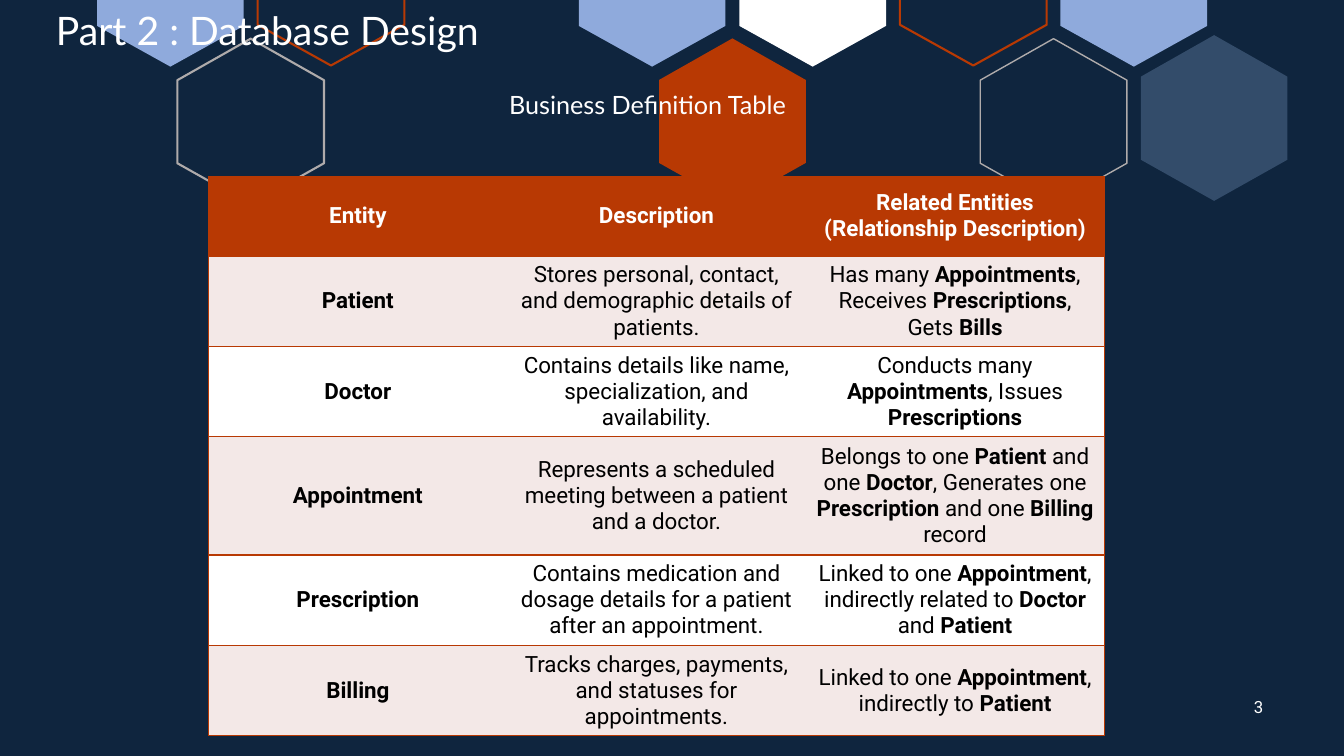
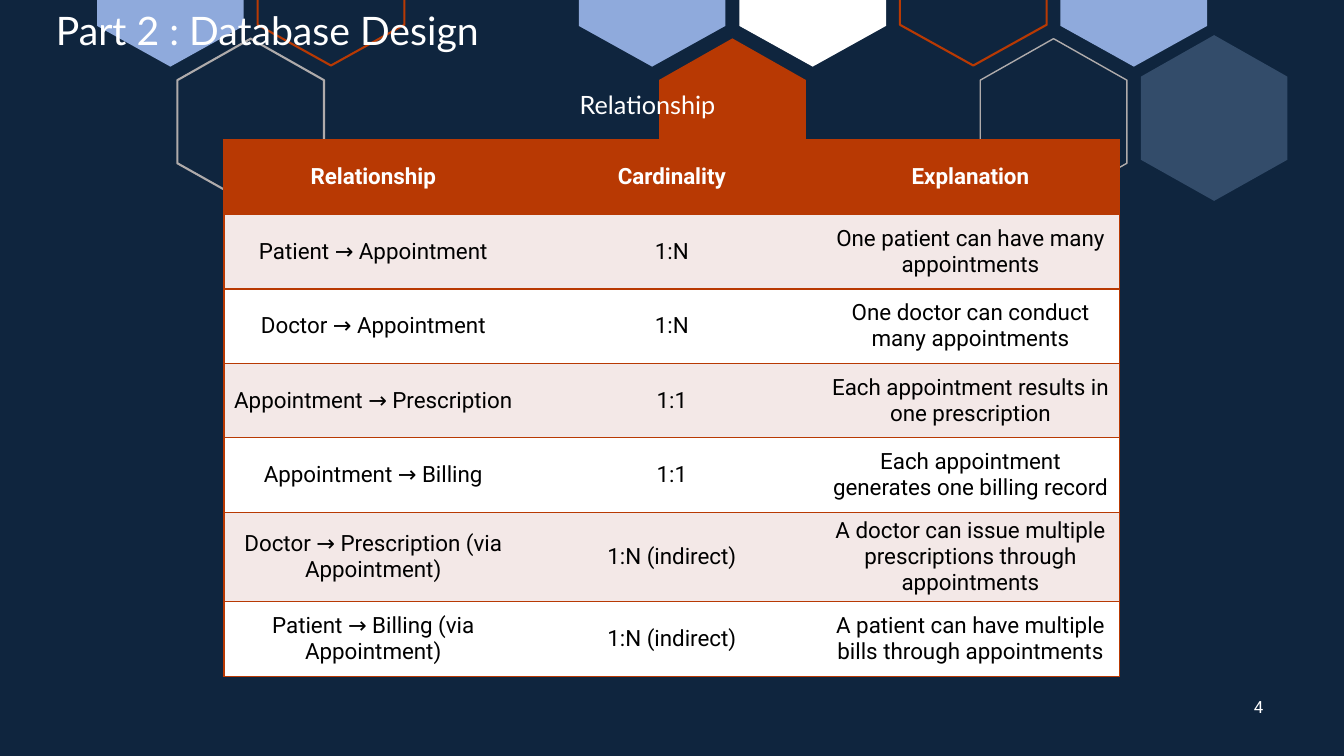
from pptx import Presentation
from pptx.dml.color import RGBColor
from pptx.enum import text
from pptx.oxml import parse_xml
from pptx.oxml.ns import nsdecls
from pptx.util import Pt

NAVY = RGBColor(0x0F, 0x25, 0x3E)
SLATE = RGBColor(0x33, 0x4C, 0x6A)
RUST = RGBColor(0xB8, 0x39, 0x03)
SKY = RGBColor(0x8F, 0xAA, 0xDC)
GREY = RGBColor(0xAF, 0xAB, 0xAB)
BLUSH = RGBColor(0xF3, 0xE8, 0xE7)
WHITE = RGBColor(0xFF, 0xFF, 0xFF)
BLACK = RGBColor(0, 0, 0)
HEAD_FONT, BODY_FONT = "Lato", "Roboto"

# Content: text between ** marks is bold
TITLE = "Part 2 : Database Design"
SLIDES = [
    {
        "number": "3",
        "caption": "Business Definition Table",
        "left": 149, "top": 126,
        "heights": [57, 64.5, 64.5, 84.5, 64.5, 64.5],
        "rows": [
            ("Entity", "Description", "Related Entities (Relationship Description)"),
            ("**Patient**",
             "Stores personal, contact, and demographic details of patients.",
             "Has many **Appointments**, Receives **Prescriptions**, Gets **Bills**"),
            ("**Doctor**",
             "Contains details like name, specialization, and availability.",
             "Conducts many **Appointments**, Issues **Prescriptions**"),
            ("**Appointment**",
             "Represents a scheduled meeting between a patient and a doctor.",
             "Belongs to one **Patient** and one **Doctor**, Generates one "
             "**Prescription** and one **Billing** record"),
            ("**Prescription**",
             "Contains medication and dosage details for a patient after an appointment.",
             "Linked to one **Appointment**, indirectly related to **Doctor** and **Patient**"),
            ("**Billing**",
             "Tracks charges, payments, and statuses for appointments.",
             "Linked to one **Appointment**, indirectly to **Patient**"),
        ],
    },
    {
        "number": "4",
        "caption": "Relationship",
        "left": 160, "top": 100,
        "heights": [53.2] * 5 + [64, 53.2],
        "rows": [
            ("Relationship", "Cardinality", "Explanation"),
            ("Patient → Appointment", "1:N", "One patient can have many appointments"),
            ("Doctor → Appointment", "1:N", "One doctor can conduct many appointments"),
            ("Appointment → Prescription", "1:1",
             "Each appointment results in one prescription"),
            ("Appointment → Billing", "1:1",
             "Each appointment generates one billing record"),
            ("Doctor → Prescription (via Appointment)", "1:N (indirect)",
             "A doctor can issue multiple prescriptions through appointments"),
            ("Patient → Billing (via Appointment)", "1:N (indirect)",
             "A patient can have multiple bills through appointments"),
        ],
    },
]
COLUMN_WIDTH = 213.3

# Honeycomb band: column, top, outline, fill colour, line colour, line width
HEX_LEFT, HEX_PITCH, HEX_WIDTH = 69.3, 57.35, 104.8
FULL = [(0.5, 0), (1, 29.7), (1, 89), (0.5, 118.4), (0, 89), (0, 29.7)]
CUT = [(0, 0), (1, 0), (1, 18.5), (0.5, 47.6), (0, 18.5)]
HEXAGONS = [
    (0, 0, CUT, SKY, None, 0),
    (1, 27.6, FULL, None, GREY, 1.5),
    (2, -0.8, CUT, None, RUST, 1.5),
    (6, 0, CUT, SKY, None, 0),
    (7, 27.4, FULL, RUST, None, 0),
    (8, 0, CUT, WHITE, None, 0),
    (10, -0.8, CUT, None, RUST, 1.5),
    (11, 27.6, FULL, None, GREY, 1),
    (12, 0, CUT, SKY, None, 0),
    (13, 25.1, FULL, SLATE, None, 0),
]


def add_honeycomb(page):
    for column, top, outline, fill, line, width in HEXAGONS:
        left = HEX_LEFT + column * HEX_PITCH
        points = [(Pt(left + x * HEX_WIDTH), Pt(top + y)) for x, y in outline]
        builder = page.shapes.build_freeform(*points[0])
        builder.add_line_segments(points[1:], close=True)
        hexagon = builder.convert_to_shape()
        hexagon.shadow.inherit = False
        for paint, color in ((hexagon.fill, fill), (hexagon.line.fill, line)):
            if color is None:
                paint.background()
            else:
                paint.solid()
                paint.fore_color.rgb = color
        if line is not None:
            hexagon.line.width = Pt(width)


def style_font(font, name, size, color, bold=False):
    font.name, font.size, font.bold = name, Pt(size), bold
    font.color.rgb = color


def fill_label(box, words, name, size, anchor=text.MSO_ANCHOR.TOP):
    frame = box.text_frame
    frame.text = words
    frame.word_wrap = True
    frame.auto_size = text.MSO_AUTO_SIZE.NONE
    frame.vertical_anchor = anchor
    para = frame.paragraphs[0]
    para.alignment = text.PP_ALIGN.CENTER
    style_font(para.runs[0].font, name, size, WHITE)


def set_borders(cell, sides):
    """Rule the given sides (letters of L, R, T, B) and clear the others."""
    props = cell._tc.get_or_add_tcPr()
    for index, side in enumerate("LRTB"):
        paint = (f'<a:solidFill><a:srgbClr val="{RUST}"/></a:solidFill>'
                 if side in sides else "<a:noFill/>")
        props.insert(index, parse_xml(
            f'<a:ln{side} {nsdecls("a")} w="{Pt(1)}">{paint}</a:ln{side}>'))


def fill_cell(cell, words, header):
    cell.vertical_anchor = text.MSO_ANCHOR.MIDDLE
    para = cell.text_frame.paragraphs[0]
    para.alignment = text.PP_ALIGN.CENTER
    for index, part in enumerate(words.split("**")):
        if part:
            span = para.add_run()
            span.text = part
            style_font(span.font, BODY_FONT, 16, WHITE if header else BLACK,
                       header or index % 2 == 1)


def add_grid(page, left, top, heights, rows):
    columns = len(rows[0])
    table = page.shapes.add_table(
        len(rows), columns, Pt(left), Pt(top),
        Pt(columns * COLUMN_WIDTH), Pt(sum(heights))).table
    table.horz_banding = False
    for column in table.columns:
        column.width = Pt(COLUMN_WIDTH)
    for r, (height, row) in enumerate(zip(heights, rows)):
        table.rows[r].height = Pt(height)
        for c, words in enumerate(row):
            cell = table.cell(r, c)
            fill_cell(cell, words, header=r == 0)
            cell.fill.solid()
            cell.fill.fore_color.rgb = RUST if r == 0 else BLUSH if r % 2 else WHITE
            set_borders(cell, "TB" + "L" * (c == 0) + "R" * (c == columns - 1))


def add_page(deck, content):
    page = deck.slides.add_slide(deck.slide_layouts[5])
    add_honeycomb(page)

    # Title, moved in front of the honeycomb
    title = page.shapes.title
    title.left, title.top, title.width, title.height = Pt(0), Pt(0.7), Pt(382), Pt(41)
    fill_label(title, TITLE, HEAD_FONT, 28)
    page.shapes.element.append(title.element)

    # Table, caption and page number
    add_grid(page, content["left"], content["top"], content["heights"], content["rows"])
    caption = page.shapes.add_textbox(Pt(186), Pt(60), Pt(553), Pt(30))
    fill_label(caption, content["caption"], HEAD_FONT, 18)
    number = page.shapes.add_textbox(Pt(881), Pt(490), Pt(36), Pt(29))
    fill_label(number, content["number"], BODY_FONT, 12, text.MSO_ANCHOR.MIDDLE)


def main():
    deck = Presentation()
    deck.slide_width, deck.slide_height = Pt(960), Pt(540)
    backdrop = deck.slide_master.background.fill
    backdrop.solid()
    backdrop.fore_color.rgb = NAVY
    for content in SLIDES:
        add_page(deck, content)
    deck.save("out.pptx")


if __name__ == "__main__":
    main()
